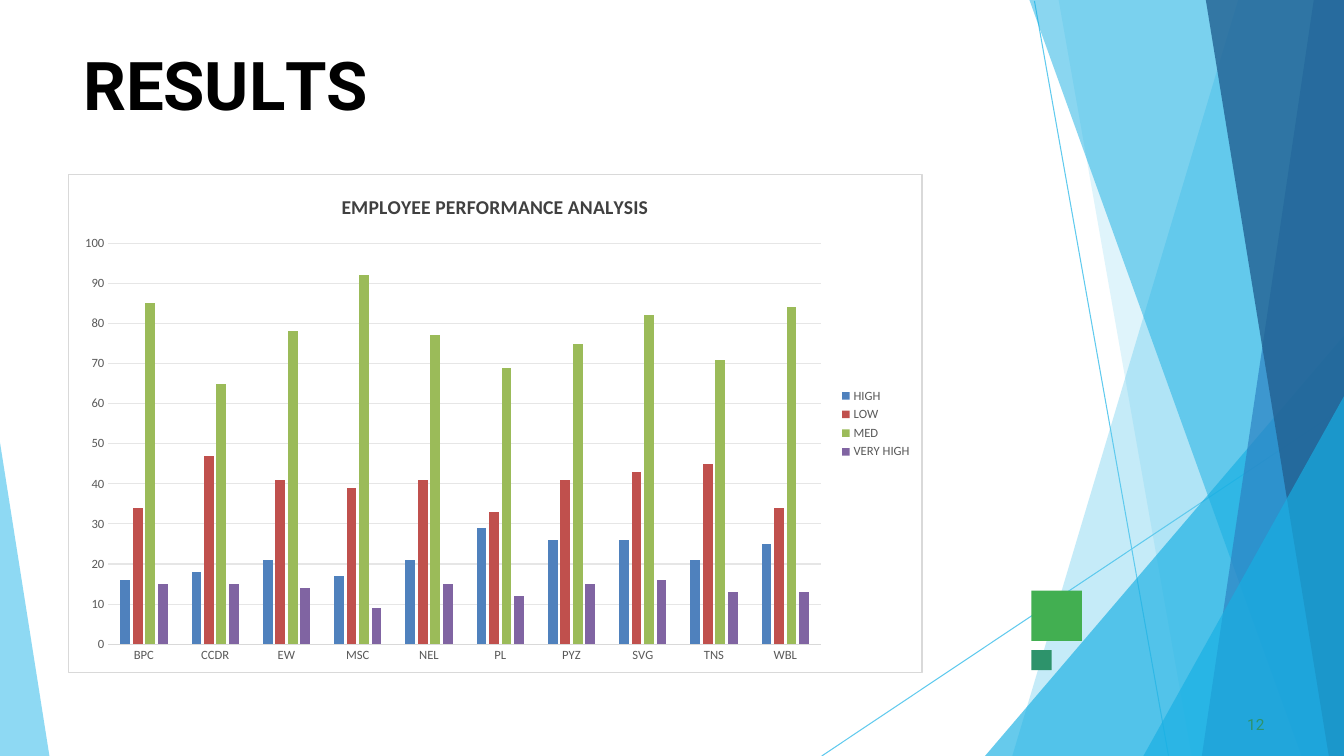
"""Build the employee performance results slide."""
from dataclasses import dataclass

import pptx
import pptx.chart.data
import pptx.dml.color
import pptx.enum.chart
import pptx.enum.shapes
import pptx.enum.text
import pptx.oxml
import pptx.oxml.ns
import pptx.util
from lxml import etree
from pptx.util import Inches

WIDTH, HEIGHT = 13.33, 7.5
COLOURS = {
    "sky": "5FCAEE", "cyan": "17AFE3", "blue": "2D83C3", "navy": "226192",
    "green": "42AF51", "teal": "2D936B", "black": "000000", "white": "FFFFFF",
    "heading": "404040", "label": "595959", "border": "D9D9D9", "grid": "E6E6E6",
    "high": "4F81BD", "low": "C0504D", "med": "9BBB59", "very high": "8064A2",
}
DEPARTMENTS = ["BPC", "CCDR", "EW", "MSC", "NEL", "PL", "PYZ", "SVG", "TNS", "WBL"]
RATINGS = {
    "HIGH": (16, 18, 21, 17, 21, 29, 26, 26, 21, 25),
    "LOW": (34, 47, 41, 39, 41, 33, 41, 43, 45, 34),
    "MED": (85, 65, 78, 92, 77, 69, 75, 82, 71, 84),
    "VERY HIGH": (15, 15, 14, 9, 15, 12, 15, 16, 13, 13),
}


@dataclass
class Ray:
    """A thin straight line across the backdrop."""
    start: tuple[float, float]
    end: tuple[float, float]


@dataclass
class Facet:
    """A translucent polygon with its opacity in percent."""
    corners: list[tuple[float, float]]
    colour: str
    opacity: int


@dataclass
class Square:
    """A small solid square."""
    left: float
    top: float
    side: float
    colour: str


def right_facet(top_x: float, bottom_x: float, colour: str, opacity: int,
                top: float = 0) -> Facet:
    """Return a facet that fills the space up to the right edge."""
    corners = [(WIDTH, top), (bottom_x, HEIGHT), (WIDTH, HEIGHT)]
    if top_x < WIDTH:
        corners.insert(1, (top_x, top))
    return Facet(corners, colour, opacity)


RAYS = [Ray((10.26, 0.01), (11.59, HEIGHT)), Ray((WIDTH, 4.04), (8.15, HEIGHT))]
FACETS = [
    right_facet(12.28, 10.04, "sky", 36),
    right_facet(10.5, 11.82, "sky", 20),
    right_facet(WIDTH, 9.77, "cyan", 66, top=3.33),
    right_facet(10.21, 12.91, "cyan", 50),
    right_facet(13.03, 11.92, "blue", 70),
    right_facet(11.96, 13.18, "navy", 80),
    right_facet(WIDTH, 11.34, "cyan", 66, top=3.93),
    Facet([(0, 4.39), (0, HEIGHT), (0.49, HEIGHT)], "sky", 70),
]
SQUARES = [Square(10.23, 5.86, 0.5, "green"), Square(10.23, 6.45, 0.2, "teal")]


def rgb(colour: str) -> pptx.dml.color.RGBColor:
    """Return the named colour."""
    return pptx.dml.color.RGBColor.from_string(COLOURS[colour])


def paint(shape, colour: str) -> None:
    """Give a shape a flat fill without outline or shadow."""
    shape.shadow.inherit = False
    shape.fill.solid()
    shape.fill.fore_color.rgb = rgb(colour)
    shape.line.fill.background()


def draw_ray(slide, ray: Ray) -> None:
    """Draw one thin line."""
    line = slide.shapes.add_connector(
        pptx.enum.shapes.MSO_CONNECTOR.STRAIGHT,
        *(Inches(value) for value in ray.start + ray.end))
    line.line.color.rgb = rgb("sky")
    line.line.width = pptx.util.Pt(0.75)
    etree.SubElement(line.element.spPr, pptx.oxml.ns.qn("a:effectLst"))


def draw_facet(slide, facet: Facet) -> None:
    """Draw one translucent polygon."""
    first, *others = [(Inches(x), Inches(y)) for x, y in facet.corners]
    builder = slide.shapes.build_freeform(*first)
    builder.add_line_segments(others, close=True)
    polygon = builder.convert_to_shape()
    paint(polygon, facet.colour)
    tint = polygon.element.spPr.find(".//" + pptx.oxml.ns.qn("a:srgbClr"))
    etree.SubElement(tint, pptx.oxml.ns.qn("a:alpha"), val=str(facet.opacity * 1000))


def draw_square(slide, square: Square) -> None:
    """Draw one solid square."""
    tile = slide.shapes.add_shape(
        pptx.enum.shapes.MSO_SHAPE.RECTANGLE, Inches(square.left), Inches(square.top),
        Inches(square.side), Inches(square.side))
    paint(tile, square.colour)


def set_font(font, size: float, colour: str, face: str, bold: bool = False) -> None:
    """Format a font."""
    font.size = pptx.util.Pt(size)
    font.color.rgb = rgb(colour)
    font.name = face
    font.bold = bold


def prepare_frame(frame) -> None:
    """Align text to the top left with almost no inset."""
    frame.margin_left = frame.margin_right = frame.margin_bottom = 0
    frame.margin_top = Inches(0.01)
    frame.word_wrap = True
    frame.auto_size = pptx.enum.text.MSO_AUTO_SIZE.NONE
    frame.vertical_anchor = pptx.enum.text.MSO_ANCHOR.TOP
    frame.paragraphs[0].alignment = pptx.enum.text.PP_ALIGN.LEFT


def add_title(slide) -> None:
    """Fill and place the slide title."""
    title = slide.shapes.title
    title.left, title.top = Inches(0.83), Inches(0.42)
    title.width, title.height = Inches(11.68), Inches(0.83)
    prepare_frame(title.text_frame)
    paragraph = title.text_frame.paragraphs[0]
    paragraph.space_before = pptx.util.Pt(1.1)
    for letters, spacing in (("RESU", -0.2), ("L", -4), ("TS", 0)):
        run = paragraph.add_run()
        run.text = letters
        set_font(run.font, 48, "black", "Roboto", bold=True)
        run.font._element.set("spc", str(round(spacing * 100)))


def add_page_number(slide) -> None:
    """Write the page number."""
    number = slide.shapes.add_textbox(Inches(12.33), Inches(7.08), Inches(0.25), Inches(0.21))
    number.text_frame.text = "12"
    prepare_frame(number.text_frame)
    number.text_frame.margin_left = Inches(0.04)
    set_font(number.text_frame.paragraphs[0].runs[0].font, 11, "teal", "Roboto")


def frame_chart(chart) -> None:
    """Give the chart a white ground and a thin border."""
    ground = pptx.oxml.parse_xml(
        f'<c:spPr {pptx.oxml.ns.nsdecls("c", "a")}>'
        f'<a:solidFill><a:srgbClr val="{COLOURS["white"]}"/></a:solidFill>'
        f'<a:ln w="9525"><a:solidFill><a:srgbClr val="{COLOURS["border"]}"/></a:solidFill>'
        '</a:ln></c:spPr>')
    chart.element.find(pptx.oxml.ns.qn("c:chart")).addnext(ground)


def add_performance_chart(slide) -> None:
    """Add the clustered columns of ratings by department."""
    data = pptx.chart.data.CategoryChartData()
    data.categories = DEPARTMENTS
    for rating, counts in RATINGS.items():
        data.add_series(rating, counts)
    chart = slide.shapes.add_chart(
        pptx.enum.chart.XL_CHART_TYPE.COLUMN_CLUSTERED,
        Inches(0.67), Inches(1.73), Inches(8.48), Inches(4.95), data).chart
    set_font(chart.font, 10, "black", "Calibri")
    frame_chart(chart)

    heading = chart.chart_title
    heading.text_frame.text = "EMPLOYEE PERFORMANCE ANALYSIS"
    heading.include_in_layout = False
    set_font(heading.text_frame.paragraphs[0].runs[0].font, 14, "heading", "Calibri", bold=True)

    chart.has_legend = True
    chart.legend.position = pptx.enum.chart.XL_LEGEND_POSITION.RIGHT
    chart.legend.include_in_layout = False
    for part in (chart.legend, chart.category_axis.tick_labels, chart.value_axis.tick_labels):
        set_font(part.font, 9, "label", "Calibri")

    for axis in (chart.category_axis, chart.value_axis):
        axis.major_tick_mark = axis.minor_tick_mark = pptx.enum.chart.XL_TICK_MARK.NONE
    scale = chart.value_axis
    scale.minimum_scale, scale.maximum_scale, scale.major_unit = 0, 100, 10
    scale.format.line.fill.background()
    for line, colour in ((chart.category_axis.format.line, "border"),
                         (scale.major_gridlines.format.line, "grid")):
        line.color.rgb = rgb(colour)
        line.width = pptx.util.Pt(0.75)

    plot = chart.plots[0]
    plot.gap_width, plot.overlap, plot.vary_by_categories = 246, -28, False
    for series in plot.series:
        series.format.fill.solid()
        series.format.fill.fore_color.rgb = rgb(series.name.lower())


def main() -> None:
    """Build and save the slide."""
    deck = pptx.Presentation()
    deck.slide_width, deck.slide_height = Inches(WIDTH), Inches(HEIGHT)
    slide = deck.slides.add_slide(deck.slide_layouts[5])
    for draw, items in ((draw_ray, RAYS), (draw_facet, FACETS), (draw_square, SQUARES)):
        for item in items:
            draw(slide, item)
    add_title(slide)
    add_page_number(slide)
    add_performance_chart(slide)
    deck.save("out.pptx")


if __name__ == "__main__":
    main()
